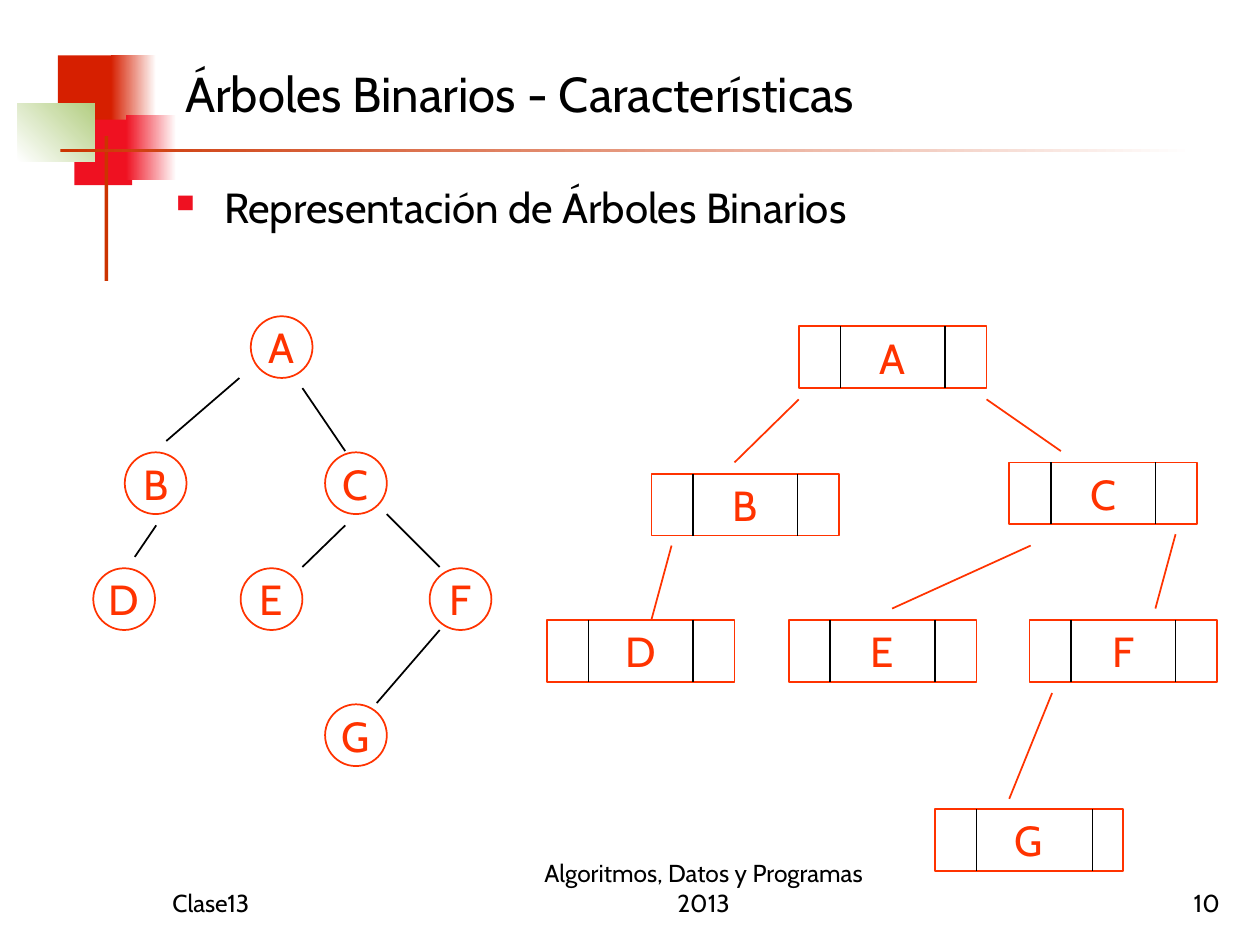
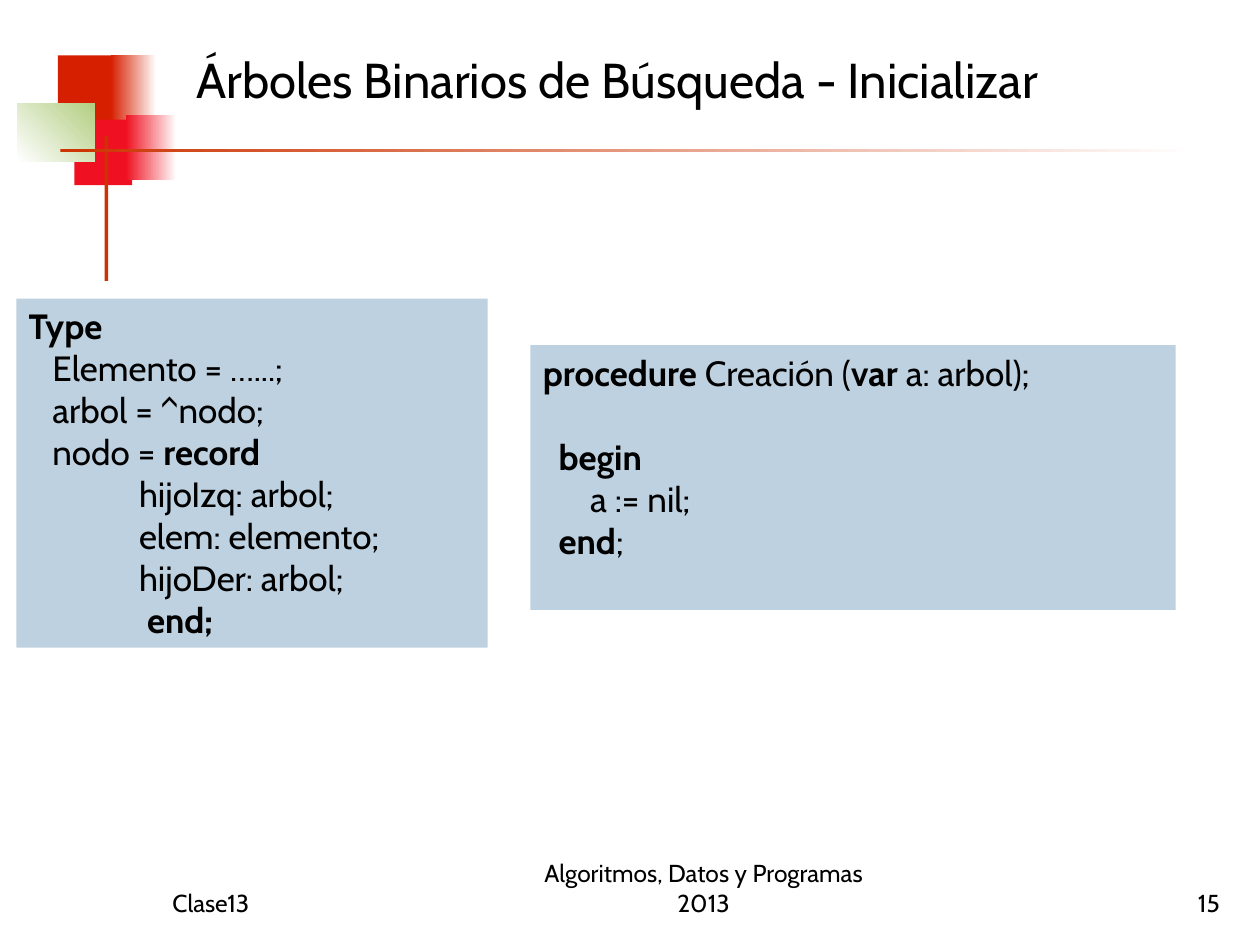
from lxml import etree
from pptx import Presentation
from pptx.dml.color import RGBColor
from pptx.enum import shapes, text
from pptx.oxml.ns import qn
from pptx.util import Inches, Pt

FONT = "Cabin"
BLACK = RGBColor(0x00, 0x00, 0x00)
WHITE = RGBColor(0xFF, 0xFF, 0xFF)
ORANGE = RGBColor(0xFF, 0x33, 0x00)
BRICK = RGBColor(0xD6, 0x1F, 0x00)
RED = RGBColor(0xEF, 0x11, 0x21)
GREEN = RGBColor(0xB3, 0xCE, 0x82)
RUST = RGBColor(0xCC, 0x33, 0x00)
PALE_BLUE = RGBColor(0xBE, 0xD1, 0xE0)

RECT = shapes.MSO_SHAPE.RECTANGLE
OVAL = shapes.MSO_SHAPE.OVAL
LEFT, CENTER, RIGHT = text.PP_ALIGN.LEFT, text.PP_ALIGN.CENTER, text.PP_ALIGN.RIGHT
TOP, MIDDLE, BOTTOM = (text.MSO_ANCHOR.TOP, text.MSO_ANCHOR.MIDDLE,
                       text.MSO_ANCHOR.BOTTOM)

NODE_H = 0.49
RECORD_W = 1.49
FIELD_LEFT, FIELD_RIGHT = 0.33, 1.16


class Deck:
    def __init__(self):
        self.prs = Presentation()
        self.prs.slide_width, self.prs.slide_height = Inches(10), Inches(7.5)
        self.s = None

    def new_slide(self, title, title_box, number):
        self.s = self.prs.slides.add_slide(self.prs.slide_layouts[6])
        self.shape(RECT, (0.46, 0.44, 0.48, 0.52), BRICK)
        self.gradient((0.88, 0.44, 0.36, 0.52), BRICK, WHITE)
        self.shape(RECT, (0.59, 0.95, 0.46, 0.52), RED)
        self.gradient((1, 0.91, 0.4, 0.52), RED, WHITE)
        self.gradient((0.14, 0.82, 0.61, 0.46), WHITE, GREEN, 45)
        self.shape(RECT, (0.83, 1.08, 0.03, 1.15), RUST)
        self.gradient((0.48, 1.18, 9, 0.03), RUST, WHITE)
        self.label(title, title_box, 28, anchor=MIDDLE)
        self.label("Clase13", (1.27, 6.83, 2.08, 0.5), 14, anchor=BOTTOM)
        self.label("Algoritmos, Datos y Programas 2013",
                   (4, 6.83, 3.17, 0.5), 14, CENTER, BOTTOM)
        self.label(number, (7.7, 6.83, 2.08, 0.5), 14, RIGHT, BOTTOM)

    def shape(self, kind, box, fill, line=None):
        sp = self.s.shapes.add_shape(kind, *map(Inches, box))
        sp.shadow.inherit = False
        sp.fill.solid()
        sp.fill.fore_color.rgb = fill
        if line is None:
            sp.line.fill.background()
        else:
            sp.line.color.rgb = line
            sp.line.width = Pt(1)
        return sp

    def gradient(self, box, start, end, angle=0):
        sp = self.shape(RECT, box, start)
        sp.fill.gradient()
        sp.fill.gradient_angle = angle
        for stop, color, position in zip(sp.fill.gradient_stops, (start, end), (0, 1)):
            stop.color.rgb = color
            stop.position = position

    def format_runs(self, p, size, color):
        for r in p.runs:
            r.font.name = FONT
            r.font.size = Pt(size)
            r.font.color.rgb = color

    def set_text(self, sp, content, size, color, align, anchor, wrap=True):
        tf = sp.text_frame
        tf.word_wrap = wrap
        tf.vertical_anchor = anchor
        tf.text = content
        p = tf.paragraphs[0]
        p.alignment = align
        self.format_runs(p, size, color)
        return p

    def label(self, content, box, size, align=LEFT, anchor=TOP):
        sp = self.s.shapes.add_textbox(*map(Inches, box))
        return self.set_text(sp, content, size, BLACK, align, anchor)

    def bullet(self, content, box):
        p = self.label(content, box, 24)
        pPr = p._p.get_or_add_pPr()
        pPr.set("marL", str(Inches(0.38)))
        pPr.set("indent", str(Inches(-0.38)))
        color = etree.SubElement(pPr, qn("a:buClr"))
        etree.SubElement(color, qn("a:srgbClr"), val=str(RED))
        etree.SubElement(pPr, qn("a:buSzPct"), val="60000")
        etree.SubElement(pPr, qn("a:buChar"), char="■")

    def line(self, start, end, color):
        ends = map(Inches, (*start, *end))
        cn = self.s.shapes.add_connector(shapes.MSO_CONNECTOR.STRAIGHT, *ends)
        cn.line.color.rgb = color
        cn.line.width = Pt(1)
        etree.SubElement(cn._element.spPr, qn("a:effectLst"))

    def node(self, kind, letter, x, y, width):
        sp = self.shape(kind, (x, y, width, NODE_H), WHITE, ORANGE)
        self.set_text(sp, letter, 24, ORANGE, CENTER, MIDDLE, wrap=False)

    def circle(self, letter, x, y):
        self.node(OVAL, letter, x, y, NODE_H)

    def record(self, letter, x, y, right=FIELD_RIGHT):
        self.node(RECT, letter, x, y, RECORD_W)
        for dx in (FIELD_LEFT, right):
            self.line((x + dx, y), (x + dx, y + NODE_H), BLACK)

    def code(self, lines, box, gaps=()):
        tf = self.shape(RECT, box, PALE_BLUE).text_frame
        tf.word_wrap = True
        tf.vertical_anchor = TOP
        for i, content in enumerate(lines):
            p = tf.paragraphs[0] if i == 0 else tf.add_paragraph()
            p.alignment = LEFT
            if i in gaps:
                p.space_before = Pt(24)
            for j, part in enumerate(content.split("*")):
                if part:
                    r = p.add_run()
                    r.text = part
                    r.font.bold = j % 2 == 1
            self.format_runs(p, 20, BLACK)


def representation(deck):
    deck.new_slide("Árboles Binarios - Características", (1.37, 0.28, 7.01, 0.92), "10")
    deck.bullet("Representación de Árboles Binarios", (1.3, 1.39, 7.74, 0.71))

    for node in (("A", 1.99, 2.51), ("B", 0.99, 3.59), ("C", 2.58, 3.59),
                 ("D", 0.74, 4.51), ("E", 1.91, 4.51), ("F", 3.41, 4.51),
                 ("G", 2.58, 5.59)):
        deck.circle(*node)
    for start, end in (((1.9, 3), (1.32, 3.5)), ((2.4, 3.08), (2.74, 3.58)),
                       ((1.24, 4.17), (1.07, 4.42)), ((2.74, 4.17), (2.4, 4.5)),
                       ((3.07, 4.08), (3.49, 4.5)), ((3.49, 5), (2.99, 5.58))):
        deck.line(start, end, BLACK)

    for node in (("A", 6.34, 2.59), ("B", 5.17, 3.76), ("C", 8.01, 3.67),
                 ("D", 4.34, 4.92), ("E", 6.26, 4.92), ("F", 8.17, 4.92),
                 ("G", 7.42, 6.42, 1.25)):
        deck.record(*node)
    for start, end in (((6.34, 3.17), (5.83, 3.67)), ((7.83, 3.17), (8.42, 3.58)),
                       ((5.33, 4.33), (5.17, 4.92)), ((8.18, 4.33), (7.08, 4.83)),
                       ((9.33, 4.24), (9.17, 4.83)), ((8.35, 5.5), (8.01, 6.34))):
        deck.line(start, end, ORANGE)


def initialization(deck):
    deck.new_slide("Árboles Binarios de Búsqueda - Inicializar",
                   (1.46, 0.13, 8.11, 1), "15")
    deck.code(("*procedure* Creación (*var* a: arbol);",
               "*  begin*",
               "      a := nil;",
               "*  end*;"), (4.21, 2.74, 5.12, 2.1), gaps=(1,))
    deck.code(("*Type*",
               "   Elemento = …...;",
               "   arbol = ^nodo;",
               "   nodo = *record*",
               "\t      hijoIzq: arbol;",
               "\t      elem: elemento;",
               "\t      hijoDer: arbol;",
               "               *end;*"), (0.13, 2.37, 3.74, 2.77))


def main():
    deck = Deck()
    representation(deck)
    initialization(deck)
    deck.prs.save("out.pptx")


if __name__ == "__main__":
    main()
